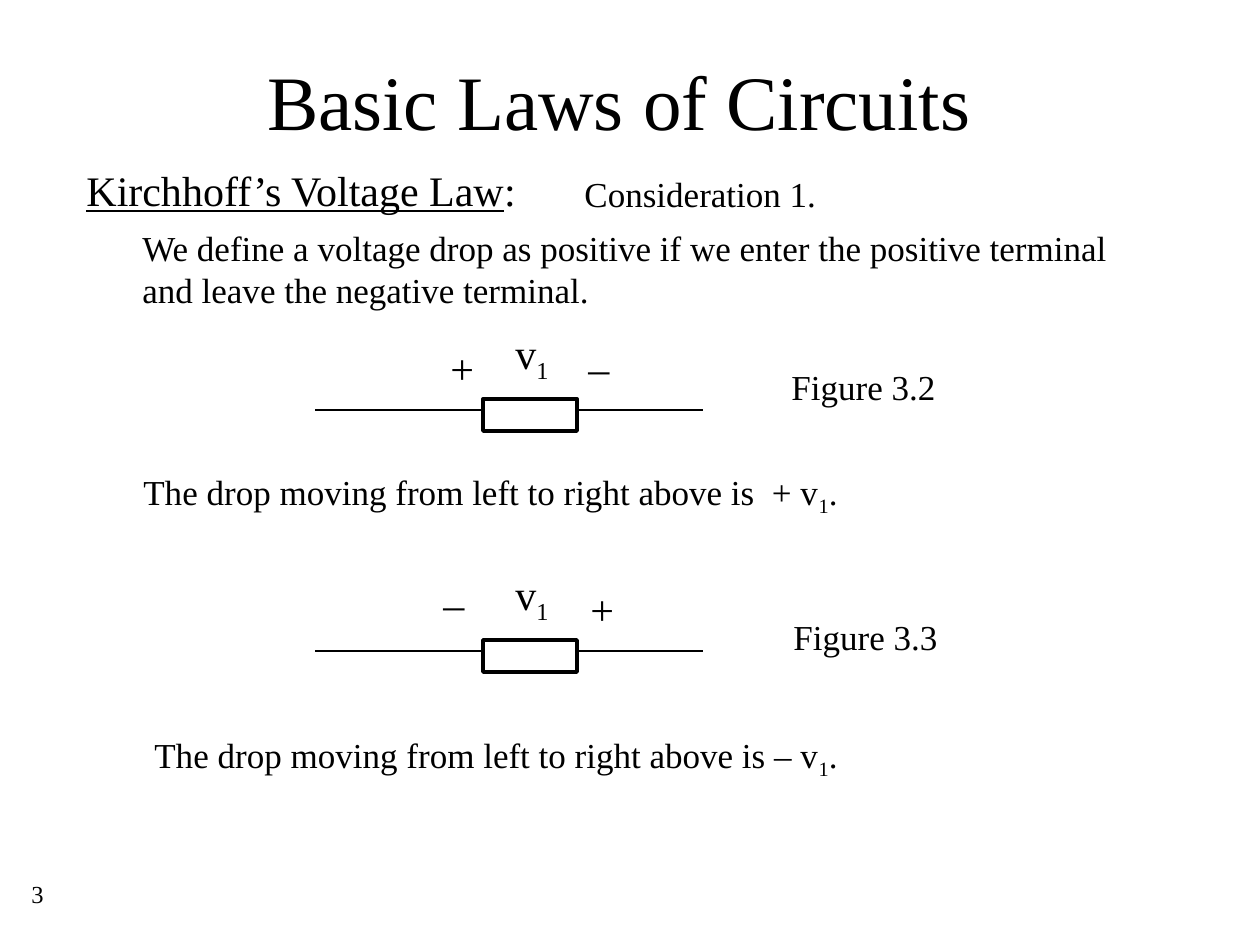
"""Build the slide on sign conventions in Kirchhoff's voltage law."""
from dataclasses import dataclass

from lxml import etree
from pptx import Presentation
from pptx.dml.color import RGBColor
from pptx.enum.shapes import MSO_CONNECTOR, MSO_SHAPE
from pptx.enum.text import MSO_ANCHOR, MSO_AUTO_SIZE, PP_ALIGN
from pptx.oxml.ns import qn
from pptx.util import Pt

EMU_PER_PX = 914400 / 126
RECTANGLE = MSO_SHAPE.RECTANGLE
STRAIGHT = MSO_CONNECTOR.STRAIGHT
TOP, MIDDLE = MSO_ANCHOR.TOP, MSO_ANCHOR.MIDDLE
LEFT, CENTER = PP_ALIGN.LEFT, PP_ALIGN.CENTER
GROW, FIXED = MSO_AUTO_SIZE.SHAPE_TO_FIT_TEXT, MSO_AUTO_SIZE.NONE


@dataclass(frozen=True)
class Theme:
    font: str = "Times New Roman"
    ink: RGBColor = RGBColor(0, 0, 0)
    paper: RGBColor = RGBColor(255, 255, 255)
    title: int = 44
    heading: int = 24
    body: int = 20
    number: int = 14
    wire: float = 0.75
    outline: float = 2.25


def px(*lengths):
    return [round(length * EMU_PER_PX) for length in lengths]


def apply(target, values):
    for name, value in values.items():
        setattr(target, name, value)


class CircuitSlide:
    def __init__(self, deck, theme):
        self.theme = theme
        self.page = deck.slides.add_slide(deck.slide_layouts[6])

    def text(self, place, lines, size, align=LEFT, anchor=TOP, wrap=False):
        box = self.page.shapes.add_textbox(*px(*place))
        frame = box.text_frame
        apply(frame, {"word_wrap": wrap, "vertical_anchor": anchor,
                      "auto_size": FIXED if wrap else GROW})
        for index, spans in enumerate(lines):
            para = frame.add_paragraph() if index else frame.paragraphs[0]
            para.alignment = align
            for words, style in spans:
                span = para.add_run()
                span.text = words
                apply(span.font, {"name": self.theme.font, "size": Pt(size),
                                  "underline": style == "underline"})
                span.font.color.rgb = self.theme.ink
                if style == "subscript":
                    span.font._element.set("baseline", "-25000")

    def label(self, place, words, size):
        self.text(place, [[(words, None)]], size)

    def wire(self, start, end, y):
        line = self.page.shapes.add_connector(STRAIGHT, *px(start, y, end, y))
        apply(line.line, {"width": Pt(self.theme.wire)})
        line.line.color.rgb = self.theme.ink
        etree.SubElement(line._element.spPr, qn("a:effectLst"))

    def resistor(self, top):
        body = self.page.shapes.add_shape(RECTANGLE, *px(483, top, 94, 32))
        body.shadow.inherit = False
        body.fill.solid()
        body.fill.fore_color.rgb = self.theme.paper
        body.line.color.rgb = self.theme.ink
        body.line.width = Pt(self.theme.outline)

    def element(self, top, plus, minus):
        self.resistor(top)
        self.wire(483, 315, top + 11)
        self.wire(577, 703, top + 11)
        self.label((*plus, 49, 63), "+", self.theme.heading)
        self.label((*minus, 45, 63), "_", self.theme.heading)
        self.text((503, top - 78, 58, 71), [[("v", None), ("1", "subscript")]],
                  self.theme.heading)

    def conclusion(self, place, words):
        spans = [(words, None), ("1", "subscript"), (".", None)]
        self.text(place, [spans], self.theme.body)


def main():
    deck = Presentation()
    deck.slide_width, deck.slide_height = px(1260, 945)
    theme = Theme()
    slide = CircuitSlide(deck, theme)

    slide.text((84, 21, 1071, 158), [[("Basic Laws of Circuits", None)]],
               theme.title, CENTER, MIDDLE, True)
    slide.text((74, 158, 461, 63),
               [[("Kirchhoff’s Voltage Law", "underline"), (":", None)]],
               theme.heading)
    slide.label((572, 166, 257, 55), "Consideration 1.", theme.body)
    slide.text((130, 220, 993, 97), [
        [("We define a voltage drop as positive if we enter the positive terminal", None)],
        [("and leave the negative terminal.", None)],
    ], theme.body)

    slide.element(399, plus=(438, 336), minus=(576, 321))
    slide.conclusion((131, 464, 719, 60),
                     "The drop moving from left to right above is  + v")
    slide.element(640, plus=(578, 577), minus=(431, 557))
    slide.conclusion((142, 727, 708, 60),
                     "The drop moving from left to right above is – v")

    slide.label((779, 359, 169, 55), "Figure 3.2", theme.body)
    slide.label((781, 609, 169, 55), "Figure 3.3", theme.body)
    slide.label((19, 873, 38, 43), "3", theme.number)
    deck.save("out.pptx")


if __name__ == "__main__":
    main()
